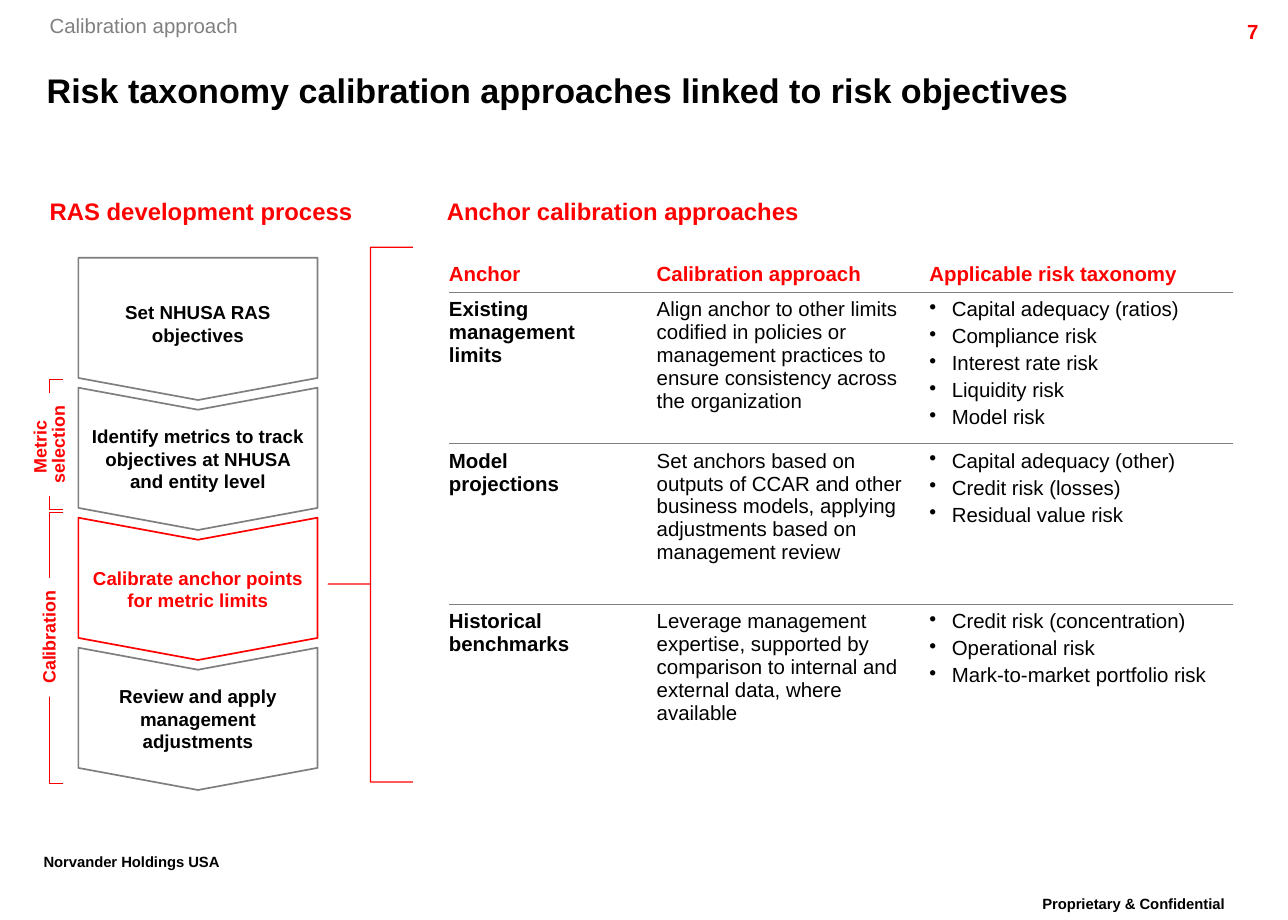
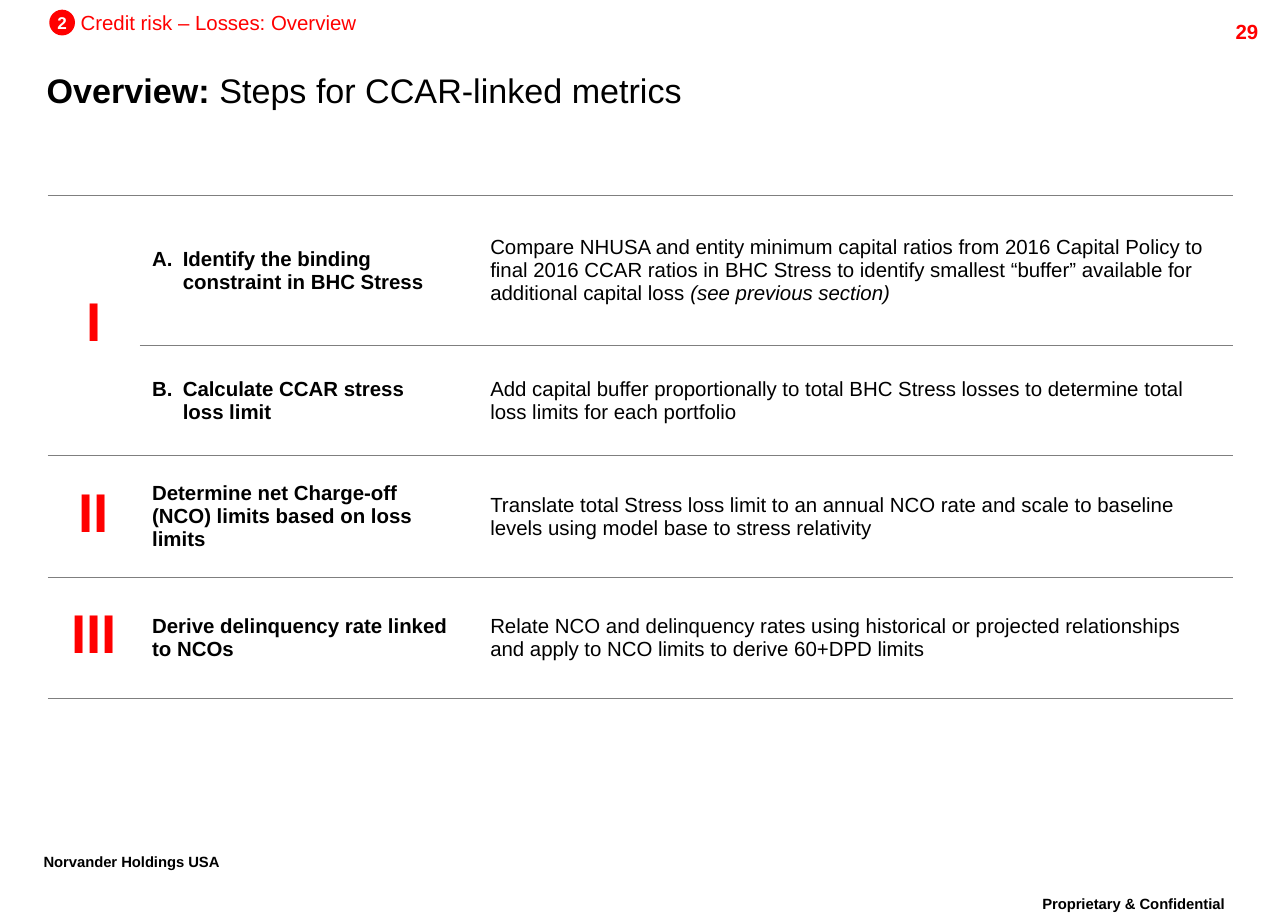
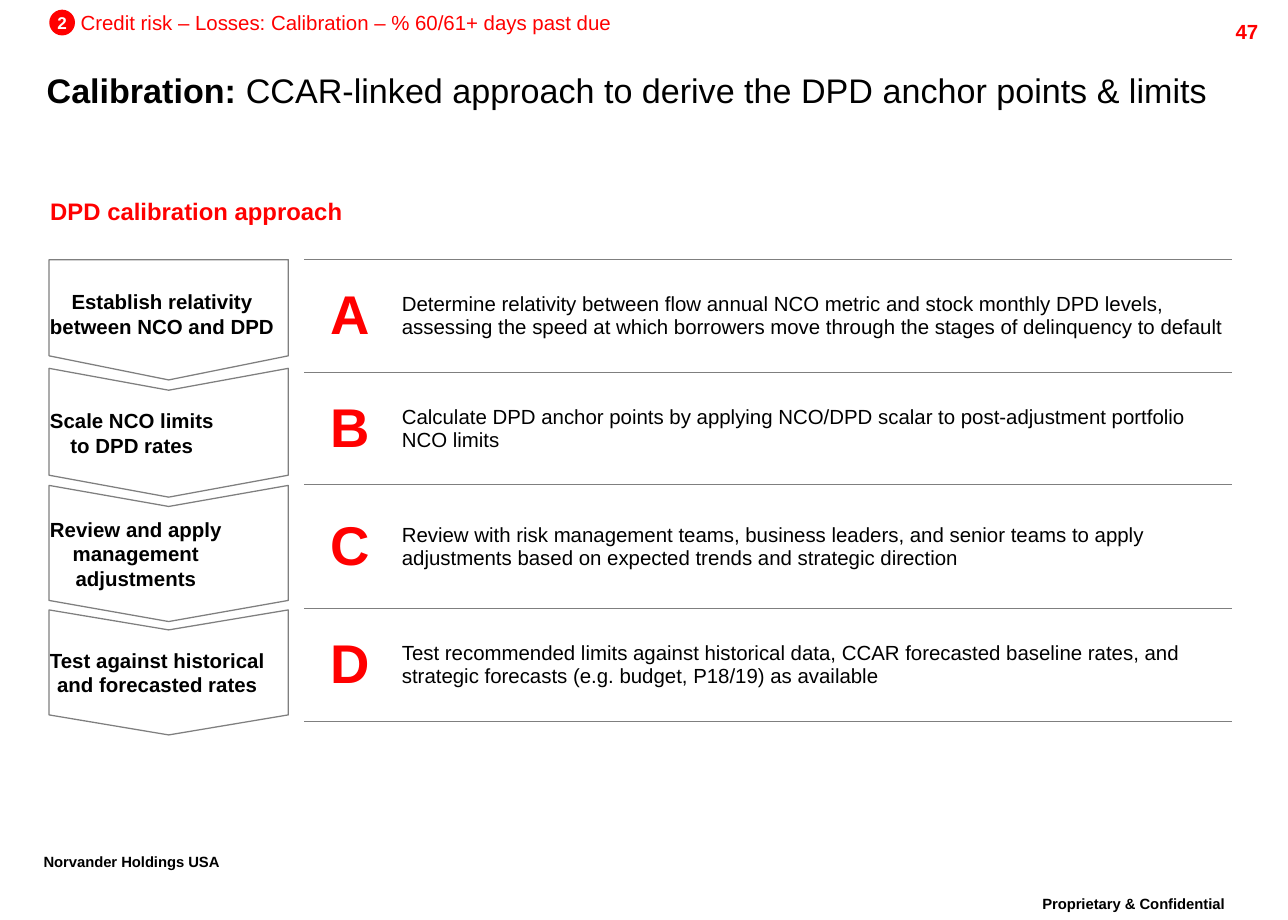
from dataclasses import dataclass, field
from typing import Any, Optional, Sequence, Union

from lxml import etree
from pptx import Presentation, util as u
from pptx.dml.color import RGBColor
from pptx.enum import shapes, text
from pptx.oxml import ns

Pt = u.Pt
FONT = "Arial"
COLORS = {"black": "000000", "white": "FFFFFF", "red": "FF0000",
          "bracket": "F90000", "grey": "808080", "rule": "7F7F7F"}
ALIGN, ANCHOR = text.PP_ALIGN, text.MSO_ANCHOR
KIND = shapes.MSO_SHAPE


@dataclass(frozen=True)
class Span:
    text: str
    bold: bool = False
    italic: bool = False


Paragraph = Union[str, Sequence[Span]]


@dataclass(frozen=True)
class Cell:
    paragraphs: Sequence[Paragraph] = ()
    style: dict[str, Any] = field(default_factory=dict)


@dataclass(frozen=True)
class Step:
    """One arrow of a downward process; top and height as seen."""
    text: str
    top: float
    height: float
    point: float
    color: str = "black"
    line: str = "rule"


def rgb(name: str) -> RGBColor:
    return RGBColor.from_string(COLORS[name])


def add_bullet(paragraph, bullet: str, indent: float) -> None:
    """Hang a paragraph on a bullet sign, or on a letter such as 'B.'."""
    properties = paragraph._p.get_or_add_pPr()
    properties.set("marL", str(Pt(indent)))
    properties.set("indent", str(-Pt(indent)))
    if bullet[0].isalpha():
        number = etree.SubElement(properties, ns.qn("a:buAutoNum"), type="alphaUcPeriod")
        number.set("startAt", str(ord(bullet[0]) - ord("A") + 1))
    else:
        etree.SubElement(properties, ns.qn("a:buChar"), char=bullet)


def write(container, *paragraphs: Paragraph, size: float = 12, color: str = "black",
          bold: bool = False, align=ALIGN.LEFT, anchor=ANCHOR.TOP,
          margins: Sequence[float] = (0, 0, 0, 0), spacing: Optional[float] = None,
          before: float = 0, bullet: str = "", indent: float = 0,
          wrap: bool = True, baseline: int = 0) -> None:
    """Fill a shape or table cell; a newline in the text is a line break."""
    frame = container.text_frame
    is_shape = hasattr(container, "shape_type")
    box = frame if is_shape else container
    box.margin_left, box.margin_top, box.margin_right, box.margin_bottom = map(Pt, margins)
    box.vertical_anchor = anchor
    if is_shape:
        frame.word_wrap = wrap
    for index, content in enumerate(paragraphs):
        paragraph = frame.add_paragraph() if index else frame.paragraphs[0]
        paragraph.alignment = align
        if spacing:
            paragraph.line_spacing = spacing
        if index and before:
            paragraph.space_before = Pt(before)
        if bullet:
            add_bullet(paragraph, bullet, indent)
        elif indent:
            paragraph._p.get_or_add_pPr().set("marL", str(Pt(indent)))
        spans = [Span(content, bold)] if isinstance(content, str) else content
        for span in spans:
            for line_number, line in enumerate(span.text.split("\n")):
                if line_number:
                    paragraph.add_line_break()
                run = paragraph.add_run()
                run.text = line
                font = run.font
                font.name, font.size = FONT, Pt(size)
                font.bold, font.italic = span.bold, span.italic
                font.color.rgb = rgb(color)
                if baseline:
                    run._r.get_or_add_rPr().set("baseline", str(baseline))


def add_text(slide, left: float, top: float, width: float, height: float,
             *paragraphs: Paragraph, **style: Any) -> None:
    box = slide.shapes.add_textbox(Pt(left), Pt(top), Pt(width), Pt(height))
    write(box, *paragraphs, **style)


def add_shape(slide, kind, left: float, top: float, width: float, height: float,
              fill: str = "", line: str = "", weight: float = 0.75,
              adjustments: Sequence[float] = (), rotation: float = 0):
    shape = slide.shapes.add_shape(kind, Pt(left), Pt(top), Pt(width), Pt(height))
    shape.shadow.inherit = False
    shape.rotation = rotation
    for index, value in enumerate(adjustments):
        shape.adjustments[index] = value
    if fill:
        shape.fill.solid()
        shape.fill.fore_color.rgb = rgb(fill)
    else:
        shape.fill.background()
    if line:
        shape.line.color.rgb = rgb(line)
        shape.line.width = Pt(weight)
    else:
        shape.line.fill.background()
    return shape


def set_borders(cell, top: bool, bottom: bool) -> None:
    properties = cell._tc.get_or_add_tcPr()
    sides = {"lnL": False, "lnR": False, "lnT": top, "lnB": bottom}
    for index, (side, shown) in enumerate(sides.items()):
        line = etree.Element(ns.qn(f"a:{side}"), w=str(Pt(0.75)))
        if shown:
            fill = etree.SubElement(line, ns.qn("a:solidFill"))
            etree.SubElement(fill, ns.qn("a:srgbClr"), val=COLORS["rule"])
        else:
            etree.SubElement(line, ns.qn("a:noFill"))
        properties.insert(index, line)


def add_table(slide, left: float, top: float, widths: Sequence[float],
              heights: Sequence[float], rows: Sequence[Sequence[Cell]],
              rules: Sequence[int], merged_rows: int = 1, first_ruled: int = 0) -> None:
    """Draw a table with rules at row edges, from column first_ruled on."""
    table = slide.shapes.add_table(len(heights), len(widths), Pt(left), Pt(top),
                                   Pt(sum(widths)), Pt(sum(heights))).table
    table.first_row = table.horz_banding = False
    for column, width in zip(table.columns, widths):
        column.width = Pt(width)
    for row, height in zip(table.rows, heights):
        row.height = Pt(height)
    if merged_rows > 1:
        table.cell(0, 0).merge(table.cell(merged_rows - 1, 0))
    for row_index, row in enumerate(rows):
        for column_index, content in enumerate(row):
            cell = table.cell(row_index, column_index)
            cell.fill.solid()
            cell.fill.fore_color.rgb = rgb("white")
            ruled = column_index >= first_ruled
            bottom_edge = row_index + (cell.span_height if cell.is_merge_origin else 1)
            set_borders(cell, ruled and row_index in rules and not cell.is_spanned,
                        ruled and bottom_edge in rules)
            if content.paragraphs:
                write(cell, *content.paragraphs, **content.style)


def add_steps(slide, steps: Sequence[Step], center: float, weight: float,
              direction: str, margin: float, size: float) -> None:
    """Stack arrows turned to point down, their text kept upright."""
    width = 140.4
    for index, step in enumerate(steps):
        shape = add_shape(slide, KIND.CHEVRON if index else KIND.PENTAGON,
                          center - step.height / 2, step.top + (step.height - width) / 2,
                          step.height, width, fill="white", line=step.line,
                          weight=weight, adjustments=[step.point], rotation=90)
        write(shape, step.text, size=size, color=step.color, bold=True,
              align=ALIGN.CENTER, anchor=ANCHOR.MIDDLE, margins=[margin] * 4)
        body = shape.element.txBody.bodyPr
        body.set("vert", direction)
        body.set("rot", "10800000")


def add_heading(slide, left: float, width: float, heading: str) -> None:
    add_text(slide, left, 115.2, width, 17.3, heading, size=14, color="red", bold=True)


def add_section(slide, section: str) -> None:
    """Numbered section mark above the title."""
    badge = add_shape(slide, KIND.OVAL, 28.9, 5.7, 15.1, 15.1, fill="red")
    write(badge, "2", size=10, color="white", bold=True, align=ALIGN.CENTER,
          anchor=ANCHOR.MIDDLE, wrap=False)
    add_text(slide, 47.3, 5.8, 400, 14.4, section, color="red")


def new_slide(presentation, number: int, title: Paragraph):
    slide = presentation.slides.add_slide(presentation.slide_layouts[6])
    inset = (7.2, 3.6, 7.2, 3.6)
    footer = dict(size=15, bold=True, spacing=0.86, baseline=30000, margins=inset)
    add_text(slide, 586.8, 522.3, 157, 25.2, "Proprietary & Confidential",
             align=ALIGN.CENTER, **footer)
    add_text(slide, 18.5, 497.5, 150, 25.2, "Norvander Holdings USA", **footer)
    add_text(slide, 673.7, 7.6, 72, 17.3, str(number), color="red", bold=True,
             align=ALIGN.RIGHT, margins=inset)
    add_text(slide, 27.4, 35.3, 700, 34.6, title, size=20, bold=True, anchor=ANCHOR.MIDDLE)
    return slide


def build_taxonomy(presentation) -> None:
    slide = new_slide(presentation, 7,
                      "Risk taxonomy calibration approaches linked to risk objectives")
    add_text(slide, 29.1, 8, 200, 14.4, "Calibration approach", color="grey")
    add_heading(slide, 29.1, 220, "RAS development process")
    add_heading(slide, 262.3, 432, "Anchor calibration approaches")

    first, inner = (0, 3.6, 7.2, 3.6), (7.2, 3.6, 7.2, 3.6)
    header = dict(color="red", bold=True, anchor=ANCHOR.BOTTOM)
    anchors = [
        ("Existing management\nlimits",
         "Align anchor to other limits codified in policies or management practices "
         "to ensure consistency across the organization",
         ["Capital adequacy (ratios)", "Compliance risk", "Interest rate risk",
          "Liquidity risk", "Model risk"]),
        ("Model\nprojections",
         "Set anchors based on outputs of CCAR and other business models, applying "
         "adjustments based on management review",
         ["Capital adequacy (other)", "Credit risk (losses)", "Residual value risk"]),
        ("Historical benchmarks",
         "Leverage management expertise, supported by comparison to internal and "
         "external data, where available",
         ["Credit risk (concentration)", "Operational risk",
          "Mark-to-market portfolio risk"]),
    ]
    rows = [[Cell(["Anchor"], dict(header, margins=first)),
             Cell(["Calibration approach"], dict(header, margins=inner)),
             Cell(["Applicable risk taxonomy"], dict(header, margins=inner))]]
    rows += [[Cell([name], dict(bold=True, margins=first)),
              Cell([approach], dict(margins=inner)),
              Cell(risks, dict(margins=inner, bullet="•", indent=13.2, before=2.4))]
             for name, approach, risks in anchors]
    add_table(slide, 263.5, 149.8, [114.8, 160, 185.3], [20.9, 88.6, 94.3, 92.1],
              rows, rules=[1, 2, 3])

    labels = [("Set NHUSA RAS objectives", "black", "rule"),
              ("Identify metrics to track objectives at NHUSA and entity level",
               "black", "rule"),
              ("Calibrate anchor points for metric limits", "red", "red"),
              ("Review and apply management adjustments", "black", "rule")]
    steps = [Step(label, 151.3 + index * 76.3, 83.5, 0.155, color, line)
             for index, (label, color, line) in enumerate(labels)]
    add_steps(slide, steps, center=116.2, weight=1, direction="vert", margin=5.8, size=11)

    for label, top, height, center, length, depth in [
            (["Calibration"], 300.8, 159.1, 374, 69.8, 18),
            (["Metric ", "selection"], 222.9, 76.3, 260.9, 60.5, 28.8)]:
        add_shape(slide, KIND.LEFT_BRACKET, 29, top, 7.9, height,
                  line="bracket", adjustments=[0])
        plate = add_shape(slide, KIND.RECTANGLE, 29.5 - length / 2, center - depth / 2,
                          length, depth, fill="white", rotation=270)
        write(plate, *label, size=10.5, color="red", bold=True, align=ALIGN.CENTER,
              anchor=ANCHOR.MIDDLE, spacing=0.86, wrap=False)
    add_shape(slide, KIND.LEFT_BRACE, 192.6, 145.1, 49.7, 313.9, line="red",
              adjustments=[0, 0.63])


def build_overview(presentation) -> None:
    slide = new_slide(presentation, 29, [Span("Overview: ", bold=True),
                                         Span("Steps for CCAR-linked metrics")])
    add_section(slide, "Credit risk – Losses: Overview")
    middle = dict(anchor=ANCHOR.MIDDLE, margins=(7.2, 6.5, 7.2, 6.5))
    numeral = dict(size=32, color="red", bold=True, align=ALIGN.CENTER, spacing=0.86,
                   anchor=ANCHOR.MIDDLE, margins=(7.2, 3.6, 7.2, 3.6))
    lettered = dict(indent=18)
    content = [
        ("I", "Identify the binding constraint in BHC Stress", dict(lettered, bullet="A."),
         [Span("Compare NHUSA and entity minimum capital ratios from 2016 Capital Policy "
               "to final 2016 CCAR ratios in BHC Stress to identify smallest “buffer” "
               "available for additional capital loss "),
          Span("(see previous section)", italic=True)]),
        ("", "Calculate CCAR stress loss limit", dict(lettered, bullet="B."),
         "Add capital buffer proportionally to total BHC Stress losses to determine "
         "total loss limits for each portfolio"),
        ("II", "Determine net Charge-off (NCO) limits based on loss limits", {},
         "Translate total Stress loss limit to an annual NCO rate and scale to baseline "
         "levels using model base to stress relativity"),
        ("III", "Derive delinquency rate linked to NCOs", {},
         "Relate NCO and delinquency rates using historical or projected relationships "
         "and apply to NCO limits to derive 60+DPD limits"),
    ]
    rows = [[Cell([number] if number else [], numeral),
             Cell([name], dict(middle, bold=True, **extra)),
             Cell([detail], dict(middle, indent=9.1))]
            for number, name, extra, detail in content]
    add_table(slide, 28.1, 114.9, [54, 189.4, 452.2], [87.8, 64.8, 71.3, 71.3],
              rows, rules=range(5), merged_rows=2)


def build_calibration(presentation) -> None:
    slide = new_slide(presentation, 47, [
        Span("Calibration: ", bold=True),
        Span("CCAR-linked approach to derive the DPD anchor points & limits")])
    add_section(slide, "Credit risk – Losses: Calibration – % 60/61+ days past due")
    add_heading(slide, 29.5, 345.6, "DPD calibration approach")

    middle = dict(anchor=ANCHOR.MIDDLE, margins=[2.9] * 4)
    letter = dict(middle, size=32, color="red", bold=True, align=ALIGN.CENTER)
    details = [
        "Determine relativity between flow annual NCO metric and stock monthly DPD levels, "
        "assessing the speed at which borrowers move through the stages of delinquency "
        "to default",
        "Calculate DPD anchor points by applying NCO/DPD scalar to post-adjustment "
        "portfolio NCO limits",
        "Review with risk management teams, business leaders, and senior teams to apply "
        "adjustments based on expected trends and strategic direction",
        "Test recommended limits against historical data, CCAR forecasted baseline rates, "
        "and strategic forecasts (e.g. budget, P18/19) as available",
    ]
    rows = [[Cell(), Cell([mark], letter), Cell([detail], middle)]
            for mark, detail in zip("ABCD", details)]
    add_table(slide, 36, 152.2, [142.6, 54.4, 490.4], [66.2, 66.2, 72.7, 66.2],
              rows, rules=range(5), merged_rows=2, first_ruled=1)

    steps = [Step("Establish relativity between NCO and DPD", 152.4, 70.6, 0.2),
             Step("Scale NCO limits\nto DPD rates", 216.2, 75.6, 0.17),
             Step("Review and apply management adjustments", 284.9, 79.9, 0.155),
             Step("Test against historical and forecasted rates", 358, 73.4, 0.16)]
    add_steps(slide, steps, center=99, weight=0.75, direction="eaVert",
              margin=0.5, size=12)


def main() -> None:
    presentation = Presentation()
    presentation.slide_width, presentation.slide_height = Pt(756), Pt(540)
    build_taxonomy(presentation)
    build_overview(presentation)
    build_calibration(presentation)
    presentation.save("out.pptx")


if __name__ == "__main__":
    main()
